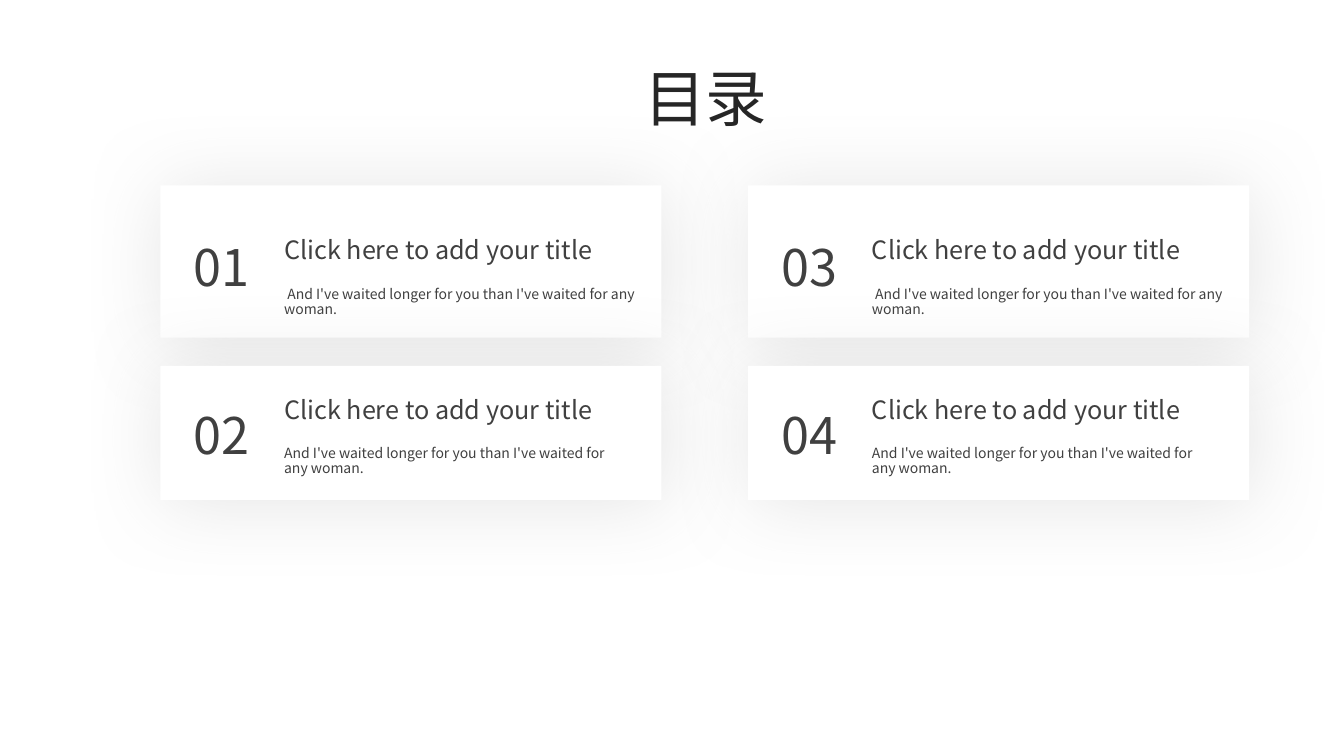
from pptx import Presentation, util as u
from pptx.dml.color import RGBColor
from pptx.enum import shapes, text
from pptx.oxml import parse_xml
from pptx.oxml.ns import nsdecls, qn

COLORS = {"card": "FFFFFF", "shadow": "BFBFBF", "title": "262626", "text": "404040"}
FONT = "Noto Sans CJK SC"
SLIDE_W, SLIDE_H = 13.33, 7.5
CARD_W = 4.97
COLUMNS = (1.59, 7.42)  # left edges of the cards
# Each row: top, height, then offsets of number, heading and body inside the card
ROWS = ((1.84, 1.51, 0.52, 0.47, 0.96), (3.63, 1.33, 0.40, 0.27, 0.75))
# Body width of each card, by row and column
BODY_W = ((3.69, 3.67), (3.59, 3.59))
HEADING = "Click here to add your title"
BODY = "And I've waited longer for you than I've waited for any woman."


def place(sp, left, top, width, height):
    sp.left, sp.top, sp.width, sp.height = map(u.Inches, (left, top, width, height))


def write(sp, words, size, color, align=text.PP_ALIGN.LEFT):
    tf = sp.text_frame
    tf.word_wrap = True
    tf.auto_size = text.MSO_AUTO_SIZE.SHAPE_TO_FIT_TEXT
    tf.vertical_anchor = text.MSO_ANCHOR.TOP
    p = tf.paragraphs[0]
    p.alignment = align
    p.line_spacing = 0.9
    r = p.add_run()
    r.text = words
    r.font.size = u.Pt(size)
    r.font.name = FONT
    r.font.color.rgb = RGBColor.from_string(COLORS[color])
    ea = r.font._element.makeelement(qn("a:ea"), {"typeface": FONT})
    r.font._element.find(qn("a:latin")).addnext(ea)


def add_label(group, box, words, size, align=text.PP_ALIGN.LEFT):
    write(group.shapes.add_textbox(*map(u.Inches, box)), words, size, "text", align)


def add_soft_shadow(sp):
    sp._element.spPr.append(parse_xml(
        f'<a:effectLst {nsdecls("a")}>'
        f'<a:outerShdw blurRad="{u.Pt(57)}" dist="{u.Pt(3)}" dir="2700000" '
        f'algn="tl" rotWithShape="0"><a:srgbClr val="{COLORS["shadow"]}">'
        '<a:alpha val="40000"/></a:srgbClr></a:outerShdw></a:effectLst>'))


def add_title(slide):
    sp = slide.shapes.title
    place(sp, 5.89, 0.63, 2.22, 0.84)
    write(sp, "目录", 44, "title", text.PP_ALIGN.CENTER)


def add_card(slide, left, row, number, body, body_w):
    top, height, number_dy, heading_dy, body_dy = row
    group = slide.shapes.add_group_shape()
    # White panel
    sp = group.shapes.add_shape(shapes.MSO_SHAPE.RECTANGLE,
                                *map(u.Inches, (left, top, CARD_W, height)))
    sp.fill.solid()
    sp.fill.fore_color.rgb = RGBColor.from_string(COLORS["card"])
    sp.line.fill.background()
    add_soft_shadow(sp)
    # Number, heading and body
    text_left = left + 1.13
    add_label(group, (left, top + number_dy, 0.98, 0.71), number, 36,
              text.PP_ALIGN.RIGHT)
    add_label(group, (text_left, top + heading_dy, 3.59, 0.40), HEADING, 18)
    add_label(group, (text_left, top + body_dy, body_w, 0.44), body, 10)


def main():
    prs = Presentation()
    prs.slide_width, prs.slide_height = u.Inches(SLIDE_W), u.Inches(SLIDE_H)
    slide = prs.slides.add_slide(prs.slide_layouts.get_by_name("Title Only"))
    add_title(slide)
    # Cards are numbered down each column
    for c, left in enumerate(COLUMNS):
        for r, row in enumerate(ROWS):
            number = f"{c * len(ROWS) + r + 1:02d}"
            body = " " + BODY if r == 0 else BODY
            add_card(slide, left, row, number, body, BODY_W[r][c])
    prs.save("out.pptx")


if __name__ == "__main__":
    main()
